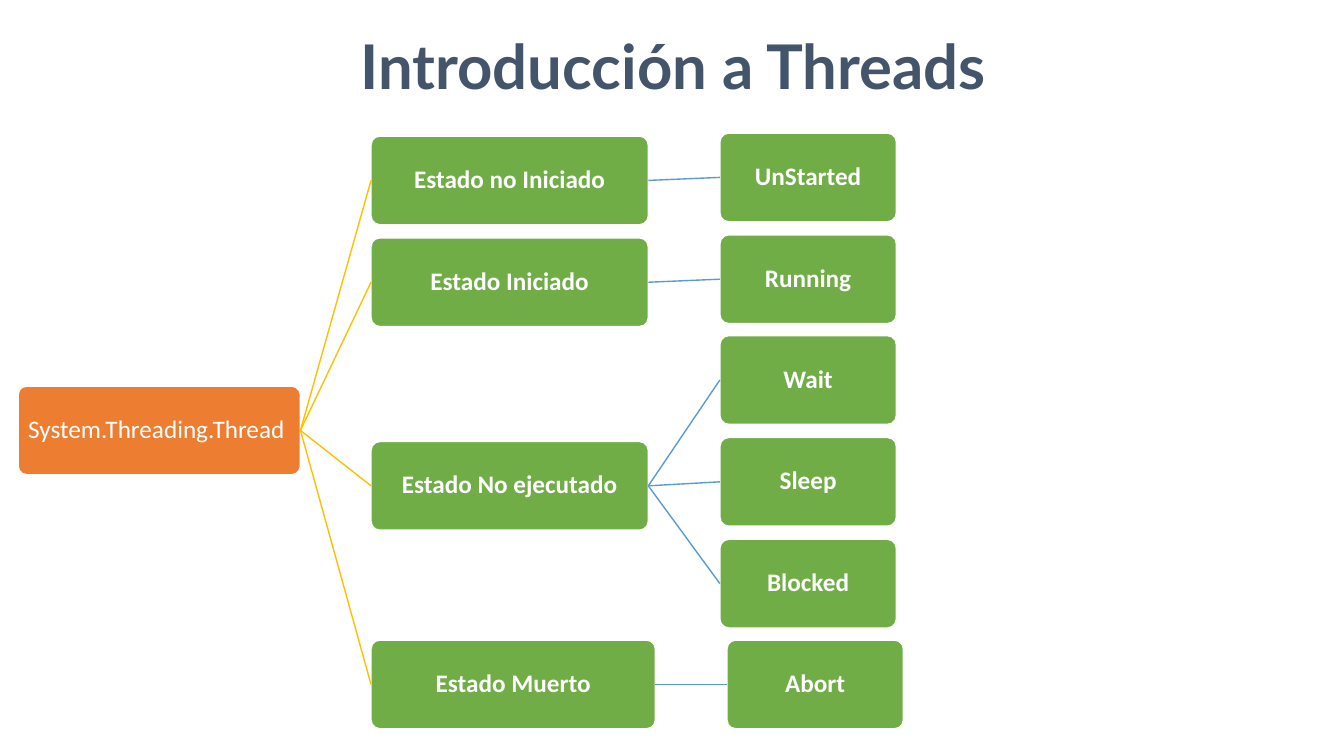
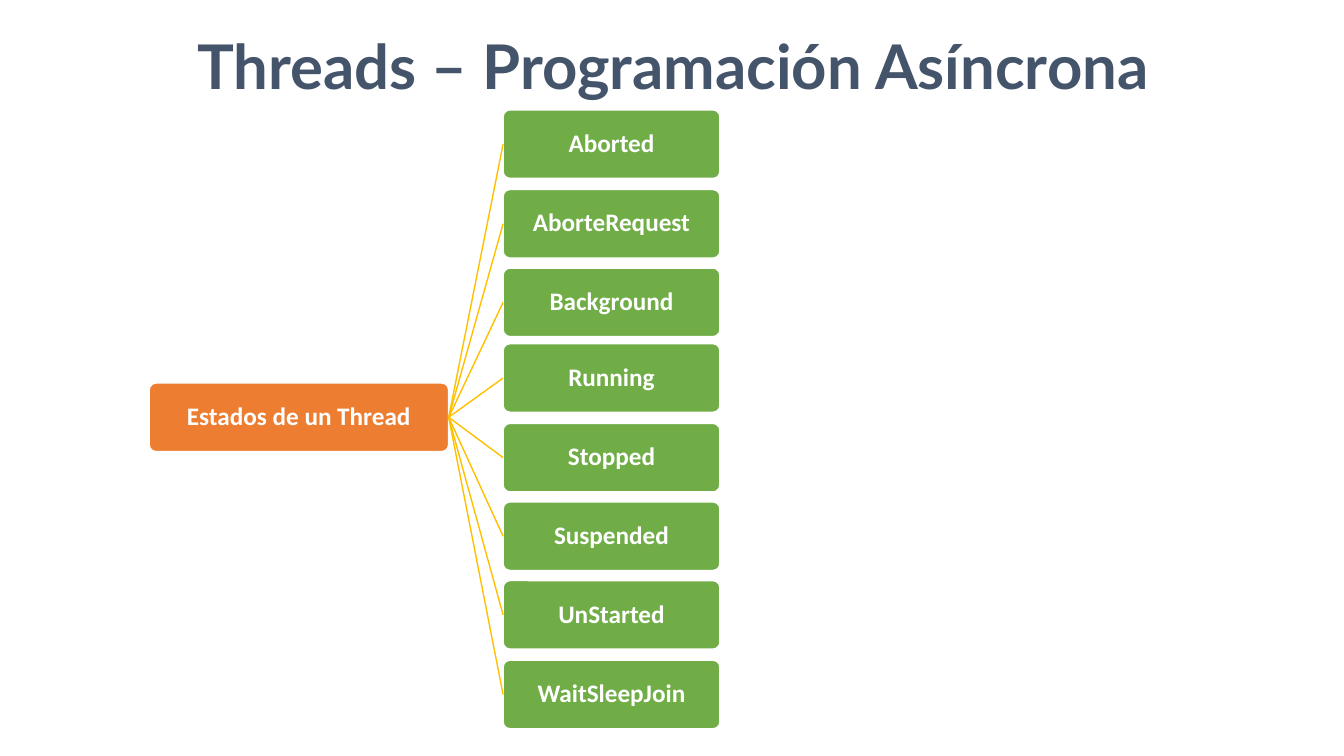
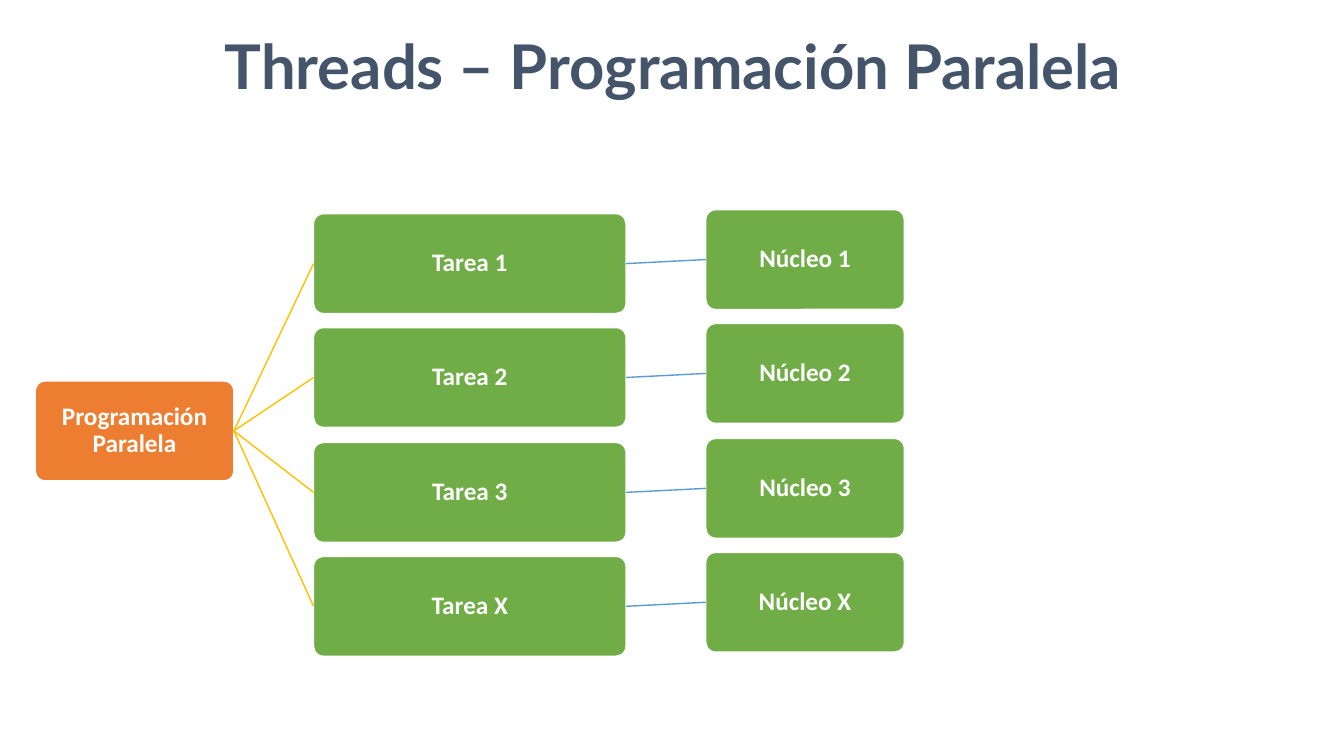
from pptx import Presentation
from pptx.dml.color import RGBColor
from pptx.enum.shapes import MSO_CONNECTOR, MSO_SHAPE
from pptx.enum.text import MSO_ANCHOR, MSO_AUTO_SIZE, PP_ALIGN
from pptx.oxml.ns import qn
from pptx.util import Emu, Pt
from lxml import etree

STRAIGHT = MSO_CONNECTOR.STRAIGHT
ROUNDED = MSO_SHAPE.ROUNDED_RECTANGLE
MIDDLE = MSO_ANCHOR.MIDDLE
GROW = MSO_AUTO_SIZE.SHAPE_TO_FIT_TEXT
CENTER = PP_ALIGN.CENTER
LEFT_SIDE, RIGHT_SIDE = 1, 3

# Shared measures and look; 100 px to the inch
PX = 9144
BLANK = 6
SLIDE_WIDTH, SLIDE_HEIGHT = 1333, 750
TITLE_AREA = (13, 26, 1310, 79)
ORANGE, GREEN, WHITE = "ED7D31", "70AD47", "FFFFFF"
GOLD, BLUE, SLATE = "FFC000", "5B9BD5", "44546A"
TITLE_FONT = {"name": "Lato", "size": Pt(44), "bold": True}
BOX_FONT = {"name": "Calibri", "size": Pt(18), "bold": True}
PLAIN_FONT = {**BOX_FONT, "bold": False}


def px(*lengths):
    return [Emu(length * PX) for length in lengths]


def color(value):
    return RGBColor.from_string(value)


def stack(top, pitch, count):
    """Tops of evenly spaced boxes, in whole px."""
    return [round(top + pitch * row) for row in range(count)]


def write(frame, text, font, ink, insets):
    frame.word_wrap = True
    sides = ("margin_left", "margin_top", "margin_right", "margin_bottom")
    for side, inset in zip(sides, px(*insets)):
        setattr(frame, side, inset)
    para = frame.paragraphs[0]
    para.alignment = CENTER
    span = para.add_run()
    span.text = text
    for name, value in font.items():
        setattr(span.font, name, value)
    span.font.color.rgb = color(ink)
    return para


def add_page(deck, title):
    page = deck.slides.add_slide(deck.slide_layouts[BLANK])
    frame = page.shapes.add_textbox(*px(*TITLE_AREA)).text_frame
    write(frame, title, TITLE_FONT, SLATE, (5, 2, 5, 2))
    frame.auto_size = GROW
    return page


def add_box(page, text, area, fill=GREEN, font=BOX_FONT):
    box = page.shapes.add_shape(ROUNDED, *px(*area))
    box.shadow.inherit = False
    box.adjustments[0] = 0.1
    box.fill.solid()
    box.fill.fore_color.rgb = color(fill)
    box.line.color.rgb = color(WHITE)
    box.line.width = Pt(1)
    para = write(box.text_frame, text, font, WHITE, (1, 1, 1, 1))
    para.line_spacing = 0.9
    box.text_frame.vertical_anchor = MIDDLE
    return box


def add_link(page, parent, child, ink):
    link = page.shapes.add_connector(STRAIGHT, 0, 0, 0, 0)
    link.begin_connect(parent, RIGHT_SIDE)
    link.end_connect(child, LEFT_SIDE)
    link.line.color.rgb = color(ink)
    link.line.width = Pt(1)
    etree.SubElement(link._element.spPr, qn("a:effectLst"))


def add_child(page, parent, text, area, ink):
    child = add_box(page, text, area)
    add_link(page, parent, child, ink)
    return child


def build_intro(deck):
    page = add_page(deck, "Introducción a Threads")
    height = 88
    root = add_box(page, "System.Threading.Thread ", (18, 383, 280, height),
                   ORANGE, PLAIN_FONT)
    leaf_tops = iter(stack(132, 100.7, 5) + [635])
    # State, top, width, left of its leaves, leaves
    states = [
        ("Estado no Iniciado", 135, 275, 714, ["UnStarted"]),
        ("Estado Iniciado", 236, 275, 714, ["Running"]),
        ("Estado No ejecutado", 438, 275, 714, ["Wait", "Sleep", "Blocked"]),
        ("Estado Muerto", 635, 282, 721, ["Abort"]),
    ]
    for text, top, width, leaf_left, leaves in states:
        state = add_child(page, root, text, (368, top, width, height), GOLD)
        for leaf in leaves:
            area = (leaf_left, next(leaf_tops), 175, height)
            add_child(page, state, leaf, area, BLUE)


def build_async(deck):
    page = add_page(deck, "Threads – Programación Asíncrona")
    height = 68
    root = add_box(page, "Estados de un Thread", (148, 380, 297, height), ORANGE)
    states = ["Aborted", "AborteRequest", "Background", "Running", "Stopped",
              "Suspended", "UnStarted", "WaitSleepJoin"]
    # The gap is a little smaller before the fourth state
    tops = stack(109, 78.5, 3) + stack(341, 78.5, 5)
    for text, top in zip(states, tops):
        add_child(page, root, text, (499, top, 215, height), GOLD)


def build_parallel(deck):
    page = add_page(deck, "Threads – Programación Paralela")
    height = 99
    root = add_box(page, "Programación Paralela", (35, 378, 197, height), ORANGE)
    for mark, top in zip("123X", stack(212, 113.4, 4)):
        task = add_child(page, root, f"Tarea {mark}", (311, top, 310, height), GOLD)
        add_child(page, task, f"Núcleo {mark}", (700, top - 4, 197, height), BLUE)


def main():
    deck = Presentation()
    deck.slide_width, deck.slide_height = px(SLIDE_WIDTH, SLIDE_HEIGHT)
    for build in (build_intro, build_async, build_parallel):
        build(deck)
    deck.save("out.pptx")


if __name__ == "__main__":
    main()
